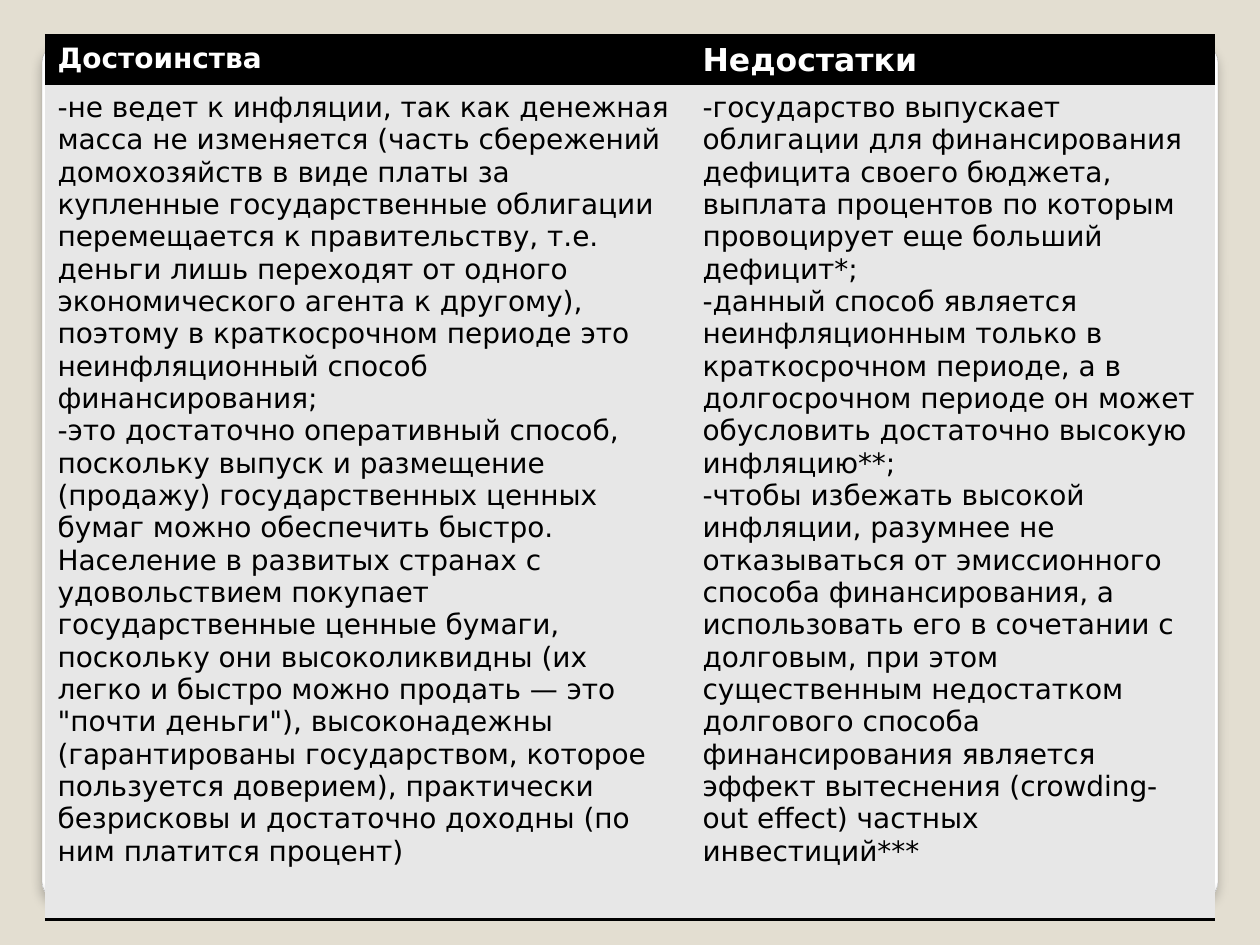
"""Build a slide with a two-column table of advantages and drawbacks of debt financing."""
from lxml import etree
from pptx import Presentation
from pptx.dml.color import RGBColor
from pptx.enum.shapes import MSO_SHAPE
from pptx.oxml import parse_xml
from pptx.oxml.ns import nsdecls
from pptx.util import Emu, Pt

ROUNDED = MSO_SHAPE.ROUNDED_RECTANGLE
FONT = "DejaVu Sans"
NO_STYLE = "{2D5ABB26-0587-4C30-8999-92F81FD0307C}"
COLORS = {
    "background": "E3DED1", "white": "FFFFFF", "rim": "DADADA",
    "card line": "A4A4A4", "black": "000000", "body": "E7E7E7",
}
SLIDE_SIZE = (1260, 945)
CARD = (42, 45, 1176, 854)
TABLE_ORIGIN = (45, 36)
COLUMN_WIDTHS = (645, 525)
ROW_HEIGHTS = (49, 834)

COLUMNS = [
    {
        "heading": "Достоинства",
        "heading size": 16,
        "points": [
            "-не ведет к инфляции, так как денежная масса не изменяется (часть сбережений "
            "домохозяйств в виде платы за купленные государственные облигации перемещается "
            "к правительству, т.е. деньги лишь переходят от одного экономического агента к "
            "другому), поэтому в краткосрочном периоде это неинфляционный способ "
            "финансирования;",
            "-это достаточно оперативный способ, поскольку выпуск и размещение (продажу) "
            "государственных ценных бумаг можно обеспечить быстро. Население в развитых "
            "странах с удовольствием покупает государственные ценные бумаги, поскольку они "
            "высоколиквидны (их легко и быстро можно продать — это \"почти деньги\"), "
            "высоконадежны (гарантированы государством, которое пользуется доверием), "
            "практически безрисковы и достаточно доходны (по ним платится процент)",
        ],
    },
    {
        "heading": "Недостатки",
        "heading size": 18,
        "points": [
            "-государство выпускает облигации для финансирования дефицита своего бюджета, "
            "выплата процентов по которым провоцирует еще больший дефицит*;",
            "-данный способ является неинфляционным только в краткосрочном периоде, а в "
            "долгосрочном периоде он может обусловить достаточно высокую инфляцию**;",
            "-чтобы избежать высокой инфляции, разумнее не отказываться от эмиссионного "
            "способа финансирования, а использовать его в сочетании с долговым, при этом "
            "существенным недостатком долгового способа финансирования является эффект "
            "вытеснения (crowding-out effect) частных инвестиций***",
        ],
    },
]


def px(value):
    return Emu(round(value * 914400 / 126))


def color(name):
    return RGBColor.from_string(COLORS[name])


def add_card(slide):
    card = slide.shapes.add_shape(ROUNDED, *map(px, CARD))
    card.adjustments[0] = 0.02
    card.fill.gradient()
    card.fill.gradient_angle = 270
    for stop, position, name in zip(card.fill.gradient_stops, (0.98, 1), ("white", "rim")):
        stop.position = position
        stop.color.rgb = color(name)
    card.line.color.rgb = color("card line")
    card.line.width = Pt(0.16)
    card.shadow.inherit = False
    effects = card._element.spPr.find("{*}effectLst")
    effects.append(parse_xml(
        f'<a:outerShdw {nsdecls("a")} blurRad="{Pt(6)}" dist="{Pt(4)}" dir="5400000">'
        f'<a:srgbClr val="{COLORS["black"]}"><a:alpha val="25000"/></a:srgbClr></a:outerShdw>'))


def add_border(cell, side):
    line = parse_xml(
        f'<a:{side} {nsdecls("a")} w="{Pt(2)}"><a:solidFill>'
        f'<a:srgbClr val="{COLORS["black"]}"/></a:solidFill></a:{side}>')
    cell._tc.get_or_add_tcPr().insert(0, line)


def fill_cell(cell, lines, size, fill, text_color, bold, border):
    cell.fill.solid()
    cell.fill.fore_color.rgb = color(fill)
    add_border(cell, border)
    paragraph = cell.text_frame.paragraphs[0]
    for index, line in enumerate(lines):
        if index:
            paragraph.add_line_break()
        run = paragraph.add_run()
        run.text = line
        run.font.name = FONT
        run.font.size = Pt(size)
        run.font.bold = bold
        run.font.color.rgb = color(text_color)
    for line_break in paragraph._p.findall("{*}br"):
        properties = etree.SubElement(line_break, line_break.tag.replace("}br", "}rPr"))
        properties.set("sz", str(size * 100))


def add_comparison(slide):
    frame = slide.shapes.add_table(
        len(ROW_HEIGHTS), len(COLUMNS), *map(px, TABLE_ORIGIN),
        px(sum(COLUMN_WIDTHS)), px(sum(ROW_HEIGHTS)))
    table = frame.table
    table.horz_banding = False
    table._tbl.tblPr.find("{*}tableStyleId").text = NO_STYLE
    for row, height in zip(table.rows, ROW_HEIGHTS):
        row.height = px(height)
    for index, (column, width) in enumerate(zip(COLUMNS, COLUMN_WIDTHS)):
        table.columns[index].width = px(width)
        fill_cell(table.cell(0, index), [column["heading"]], column["heading size"],
                  "black", "white", True, "lnT")
        fill_cell(table.cell(1, index), column["points"], 16,
                  "body", "black", False, "lnB")


def main():
    presentation = Presentation()
    presentation.slide_width, presentation.slide_height = map(px, SLIDE_SIZE)
    slide = presentation.slides.add_slide(presentation.slide_layouts[6])
    slide.background.fill.solid()
    slide.background.fill.fore_color.rgb = color("background")
    add_card(slide)
    add_comparison(slide)
    presentation.save("out.pptx")


if __name__ == "__main__":
    main()
